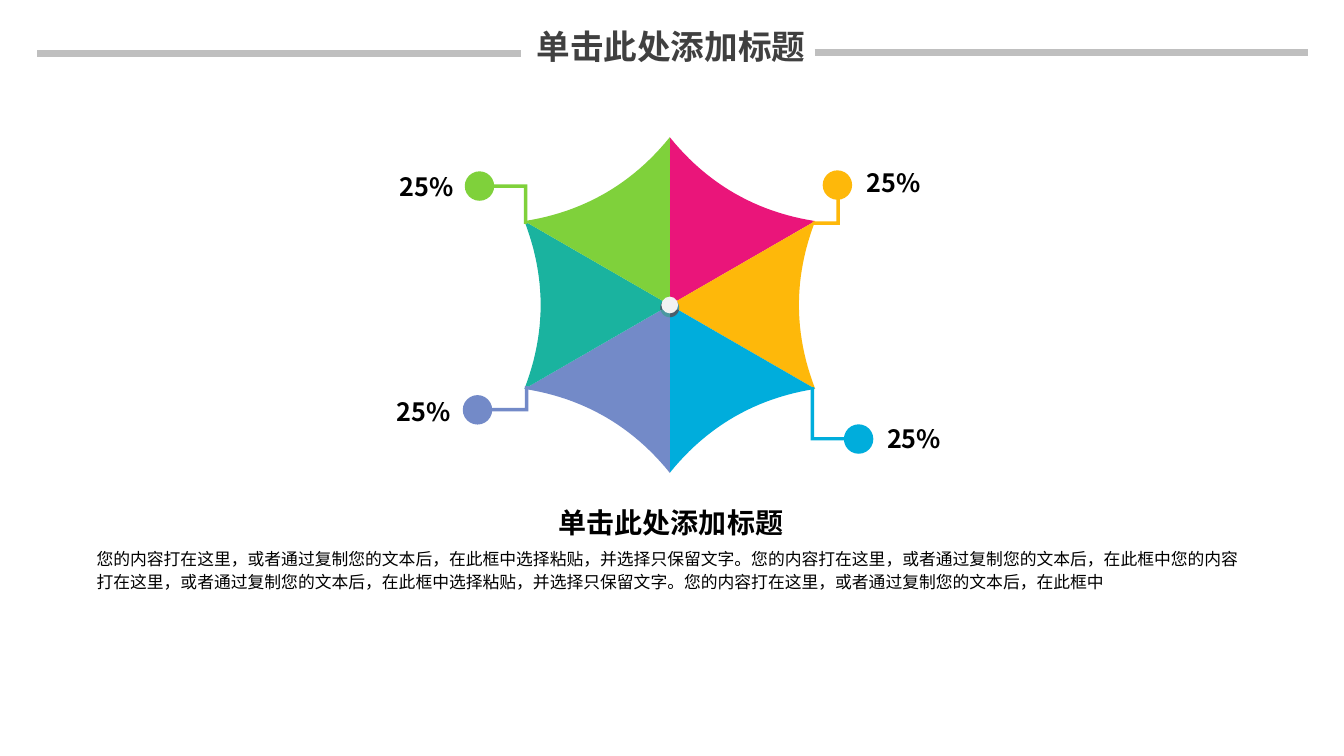
from math import cos, radians, sin, sqrt

from lxml import etree
from pptx import Presentation
from pptx.dml.color import RGBColor
from pptx.enum.shapes import MSO_CONNECTOR, MSO_SHAPE
from pptx.enum.text import MSO_AUTO_SIZE, PP_ALIGN
from pptx.oxml.ns import qn
from pptx.util import Inches, Pt

STRAIGHT = MSO_CONNECTOR.STRAIGHT
OVAL = MSO_SHAPE.OVAL
LEFT, CENTER, RIGHT = PP_ALIGN.LEFT, PP_ALIGN.CENTER, PP_ALIGN.RIGHT
GROW = MSO_AUTO_SIZE.SHAPE_TO_FIT_TEXT

# All lengths are counted in square cells: 133.3 columns by 75 rows.
CELL = Inches(0.1)
FONT = "Noto Sans CJK SC"
COLORS = {
    "title": "404040", "text": "000000", "rule": "BFBFBF",
    "pink": "EA157A", "yellow": "FEB80A", "blue": "00ADDC",
    "purple": "738AC8", "teal": "1AB39F", "green": "7FD13B",
    "shade_dark": "495D6C", "shade_light": "4B98A1", "hub": "F2F2F2",
}


def add_text(text, area, size, color="text", bold=True, align=LEFT, wrap=False, spacing=None):
    box = page.shapes.add_textbox(*[round(n * CELL) for n in area])
    frame = box.text_frame
    frame.word_wrap = wrap
    frame.auto_size = GROW
    para = frame.paragraphs[0]
    para.alignment = align
    if spacing:
        para.line_spacing = spacing
    span = para.add_run()
    span.text = text
    span.font.name = FONT
    span.font.size = Pt(size)
    span.font.bold = bold
    span.font.color.rgb = RGBColor.from_string(COLORS[color])
    etree.SubElement(span.font._element, qn("a:ea"), typeface=FONT)


def add_filled(color, points=None, circle=None):
    """Draw a closed outline through points, or a circle given as (left, top, diameter)."""
    if circle:
        left, top, size = [round(n * CELL) for n in circle]
        shape = page.shapes.add_shape(OVAL, left, top, size, size)
    else:
        corners = [(round(x * CELL), round(y * CELL)) for x, y in points]
        builder = page.shapes.build_freeform(*corners[0], scale=1.0)
        builder.add_line_segments(corners[1:], close=True)
        shape = builder.convert_to_shape()
    shape.shadow.inherit = False
    shape.fill.solid()
    shape.fill.fore_color.rgb = RGBColor.from_string(COLORS[color])
    shape.line.fill.background()


deck = Presentation()
deck.slide_width, deck.slide_height = Inches(13.33), Inches(7.5)
page = deck.slides.add_slide(deck.slide_layouts[6])

# Heading between two rules
add_text("单击此处添加标题", (52.2, 2.1, 28.7, 5.3), 24, color="title", align=CENTER)
for start, end, row in [(80.8, 129.7, 5.2), (3.7, 51.7, 5.3)]:
    x1, x2, y = [round(n * CELL) for n in (start, end, row)]
    rule = page.shapes.add_connector(STRAIGHT, x1, y, x2, y)
    rule.line.color.rgb = RGBColor.from_string(COLORS["rule"])
    rule.line.width = Pt(4.5)
    etree.SubElement(rule._element.spPr, qn("a:effectLst"))

# Caption
add_text("单击此处添加标题", (54.4, 49.7, 24.3, 4.3), 20, align=CENTER)
add_text(
    "您的内容打在这里，或者通过复制您的文本后，在此框中选择粘贴，并选择只保留文字。"
    "您的内容打在这里，或者通过复制您的文本后，在此框中您的内容打在这里，"
    "或者通过复制您的文本后，在此框中选择粘贴，并选择只保留文字。"
    "您的内容打在这里，或者通过复制您的文本后，在此框中",
    (8.6, 53.8, 115.7, 5.4), 12, bold=False, wrap=True, spacing=1.1)

# Umbrella: six panels whose rims are quadratic curves bent towards the centre
CENTER_X, CENTER_Y = 66.43, 30.26
RADIUS, BEND = 16.65, 11.2
STEPS = 24
panels = ["pink", "yellow", "blue", "purple", "teal", "green"]
for index, color in enumerate(panels):
    start = radians(60 * index - 90)
    middle, end = start + radians(30), start + radians(60)
    points = [(CENTER_X, CENTER_Y)]
    for step in range(STEPS + 1):
        t = step / STEPS
        weights = [((1 - t) ** 2 * RADIUS, start), (2 * t * (1 - t) * BEND, middle), (t * t * RADIUS, end)]
        points.append((CENTER_X + sum(w * cos(a) for w, a in weights),
                       CENTER_Y + sum(w * sin(a) for w, a in weights)))
    add_filled(color, points)

# Shade under the hub: wedges of a circle that sits a little lower than the centre
SHADE_RADIUS, DROP = 0.94, 0.28
for index in range(len(panels)):
    points = [(CENTER_X, CENTER_Y)]
    for degrees in range(60 * index - 90, 60 * index - 29, 10):
        angle = radians(degrees)
        reach = DROP * sin(angle) + sqrt(SHADE_RADIUS ** 2 - (DROP * cos(angle)) ** 2)
        points.append((CENTER_X + reach * cos(angle), CENTER_Y + reach * sin(angle)))
    add_filled("shade_light" if index % 2 else "shade_dark", points)
HUB = 1.66
add_filled("hub", circle=(CENTER_X - HUB / 2, CENTER_Y - HUB / 2, HUB))

# Callouts: colour, elbow corner, ends of its two arms, dot corner, label corner, alignment
THICKNESS, DOT = 0.34, 2.92
callouts = [
    ("green", (52.3, 18.3), (47.4, 22.2), (46.1, 17.0), (38.6, 16.5), RIGHT),
    ("blue", (80.4, 43.7), (85.1, 38.4), (83.7, 42.1), (87.0, 41.5), LEFT),
    ("yellow", (83.3, 22.3), (80.6, 19.4), (81.6, 16.9), (85.0, 16.1), LEFT),
    ("purple", (52.4, 40.8), (47.5, 38.3), (45.9, 39.2), (38.3, 38.8), RIGHT),
]
for color, (x, y), (arm_x, arm_y), dot, label, align in callouts:
    inner_x = x + (THICKNESS if arm_x > x else -THICKNESS)
    inner_y = y + (THICKNESS if arm_y > y else -THICKNESS)
    add_filled(color, [(arm_x, y), (x, y), (x, arm_y),
                       (inner_x, arm_y), (inner_x, inner_y), (arm_x, inner_y)])
    add_filled(color, circle=(*dot, DOT))
    add_text("25%", (*label, 7.4, 4.2), 18, align=align)

deck.save("out.pptx")
